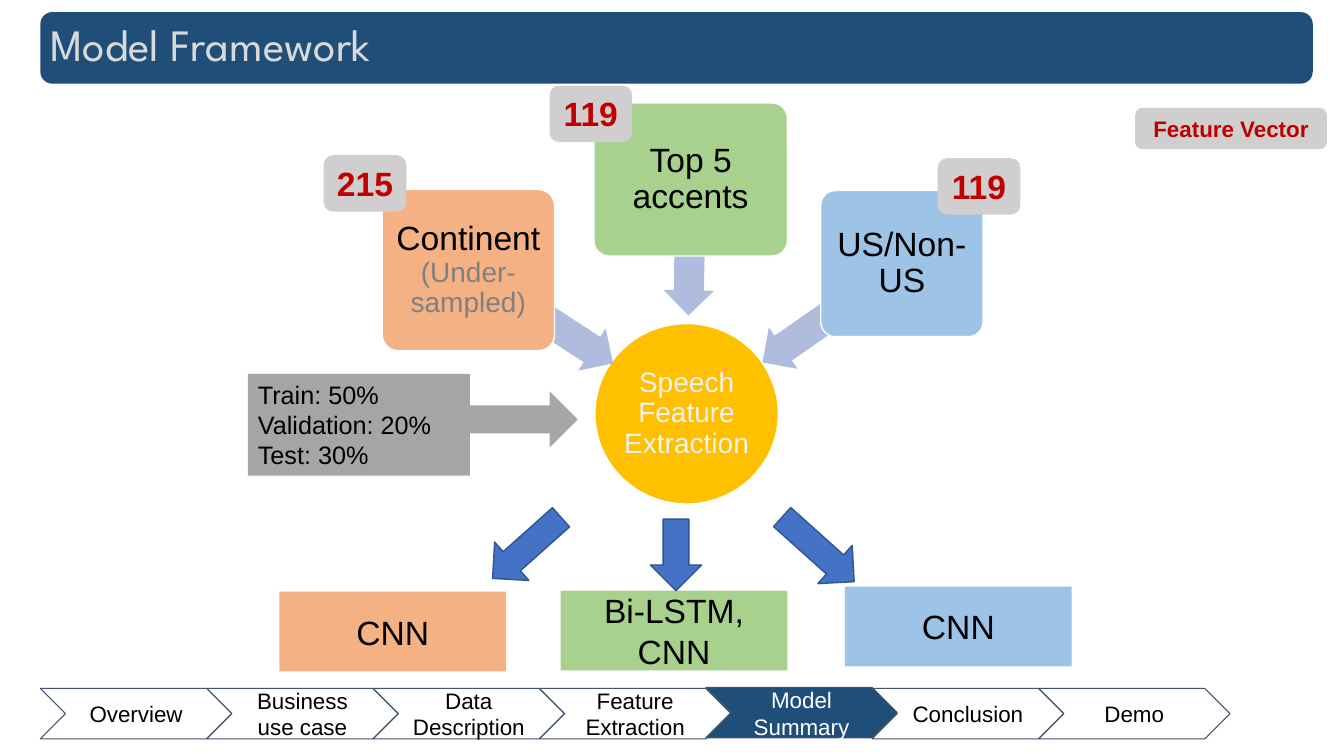
from pptx import Presentation
from pptx.util import Inches, Pt
from pptx.dml.color import RGBColor
from pptx.enum.shapes import MSO_SHAPE as Form
from pptx.enum.text import PP_ALIGN as Align, MSO_ANCHOR as Anchor

# Content
HUES = {"navy": "1F4E79", "pale": "D9D9D9", "slate": "44546A", "white": "FFFFFF",
        "black": "000000", "gold": "FFC000", "cream": "F2F2F2", "lilac": "B0BCDE",
        "orange": "F4B183", "green": "A9D18E", "sky": "9DC3E6", "dim": "808080",
        "blue": "4472C4", "edge": "325491", "grey": "A5A5A5", "ash": "A6A6A6",
        "silver": "D0CECE", "red": "C00000"}
TITLE = "Model Framework"
STEPS = ["Overview", "Business use case", "Data Description", "Feature Extraction",
         "Model Summary", "Conclusion", "Demo"]
ACTIVE = "Model Summary"
HUB = ("Speech Feature Extraction", (5.9, 3.21, 1.82, 1.79))
# Text runs (words, size, colour), place, fill
TASKS = [
    ([("Continent ", 24, "black"), ("(Under-sampled)", 20, "dim")],
     (3.79, 1.88, 1.71, 1.6), "orange"),
    ([("Top 5 accents", 24, "black")], (5.89, 1.02, 1.92, 1.52), "green"),
    ([("US/Non-US", 24, "black")], (8.14, 1.89, 1.61, 1.45), "sky"),
]
# Place, turn in degrees
INPUTS = [((4.62, 2.92, 1.59, 0.5), 213.1), ((6.17, 2.21, 1.34, 0.5), 271.1),
          ((7.42, 2.89, 1.6, 0.5), 325.2)]
OUTPUTS = [((4.97, 4.98, 0.51, 0.91), 48.2), ((6.45, 5.15, 0.51, 0.71), 0),
           ((7.86, 4.97, 0.51, 0.96), 311.9)]
# Text, left, top, fill
MODELS = [("CNN", 2.77, 5.87, "orange"), ("Bi-LSTM, CNN", 5.56, 5.86, "green"),
          ("CNN", 8.38, 5.82, "sky")]
SPLIT = ["Train: 50%", "Validation: 20%", "Test: 30%"]
# Text, place, size
BADGES = [("215", (3.21, 1.54, 0.82, 0.56), 24), ("119", (5.45, 0.85, 0.82, 0.56), 24),
          ("119", (9.3, 1.57, 0.82, 0.56), 24),
          ("Feature Vector", (11.26, 1.07, 1.9, 0.41), 16)]

deck = Presentation()
deck.slide_width, deck.slide_height = Inches(13.33), Inches(7.5)
slide = deck.slides.add_slide(deck.slide_layouts[5])


def rgb(name):
    return RGBColor.from_string(HUES[name])


def draw(form, place, fill=None, line=None, width=1, turn=0, adj=None):
    shape = slide.shapes.add_shape(form, *map(Inches, place))
    shape.shadow.inherit = False
    shape.rotation = turn
    if adj is not None:
        shape.adjustments[0] = adj
    if fill:
        shape.fill.solid()
        shape.fill.fore_color.rgb = rgb(fill)
    else:
        shape.fill.background()
    if line:
        shape.line.color.rgb = rgb(line)
        shape.line.width = Pt(width)
    else:
        shape.line.fill.background()
    return shape


def write(shape, paras, align=Align.CENTER, anchor=Anchor.MIDDLE, inset=None,
          space=None, font="Arial", bold=False):
    """Each paragraph is a list of (words, size, colour) runs."""
    frame = shape.text_frame
    look = {"word_wrap": True, "vertical_anchor": anchor}
    if inset is not None:
        for side in ("left", "top", "right", "bottom"):
            look["margin_" + side] = Inches(inset)
    for key, value in look.items():
        setattr(frame, key, value)
    for i, runs in enumerate(paras):
        para = frame.paragraphs[0] if i == 0 else frame.add_paragraph()
        para.alignment = align
        if space:
            para.line_spacing = space
        for words, size, hue in runs:
            run = para.add_run()
            run.text = words
            for key, value in {"name": font, "size": Pt(size), "bold": bold}.items():
                setattr(run.font, key, value)
            run.font.color.rgb = rgb(hue)


# Title on its bar
bar = (0.4, 0.12, 12.62, 0.71)
head = slide.shapes.title
draw(Form.ROUNDED_RECTANGLE, bar, "navy")
for key, value in zip(("left", "top", "width", "height"), bar):
    setattr(head, key, Inches(value))
tree = slide.shapes._spTree
tree.append(head._element)  # bring the title in front of the bar
write(head, [[(TITLE, 32, "pale")]], Align.LEFT, Anchor.TOP, font="League Spartan")

# Progress chevrons, the active one on top
for i, step in sorted(enumerate(STEPS), key=lambda item: item[1] == ACTIVE):
    live = step == ACTIVE
    mark = draw(Form.CHEVRON, (0.4 + 1.65 * i, 6.82 if live else 6.83, 1.9, 0.5),
                "navy" if live else None, "slate", 0.75, adj=0.5)
    write(mark, [[(step, 16, "white" if live else "black")]], inset=0.1)

# Hub and the tasks that feed it
words, place = HUB
hub = draw(Form.OVAL, place, "gold", "white")
write(hub, [[(words, 20, "cream")]], inset=0.01, space=0.9)
for (runs, place, fill), (spot, turn) in zip(TASKS, INPUTS):
    arrow = draw(Form.LEFT_ARROW, spot, "lilac", turn=turn)
    arrow.adjustments[0] = 0.6
    task = draw(Form.ROUNDED_RECTANGLE, place, fill, "white", adj=0.1)
    write(task, [runs], inset=0.05, space=0.9)

# Models below the hub
for words, left, top, fill in MODELS:
    write(draw(Form.RECTANGLE, (left, top, 2.25, 0.79), fill), [[(words, 24, "black")]])
for spot, turn in OUTPUTS:
    draw(Form.DOWN_ARROW, spot, "blue", "edge", turn=turn)

# Data split
split = draw(Form.RECTANGLE, (2.46, 3.71, 2.2, 1.01), "grey")
write(split, [[(row, 18, "black")] for row in SPLIT], Align.LEFT, Anchor.TOP)
draw(Form.LEFT_ARROW, (4.56, 3.88, 1.17, 0.56), "ash", turn=180)

# Feature vector badges
for words, place, size in BADGES:
    badge = draw(Form.ROUNDED_RECTANGLE, place, "silver")
    write(badge, [[(words, size, "red")]], anchor=Anchor.TOP, bold=True)

deck.save("out.pptx")
